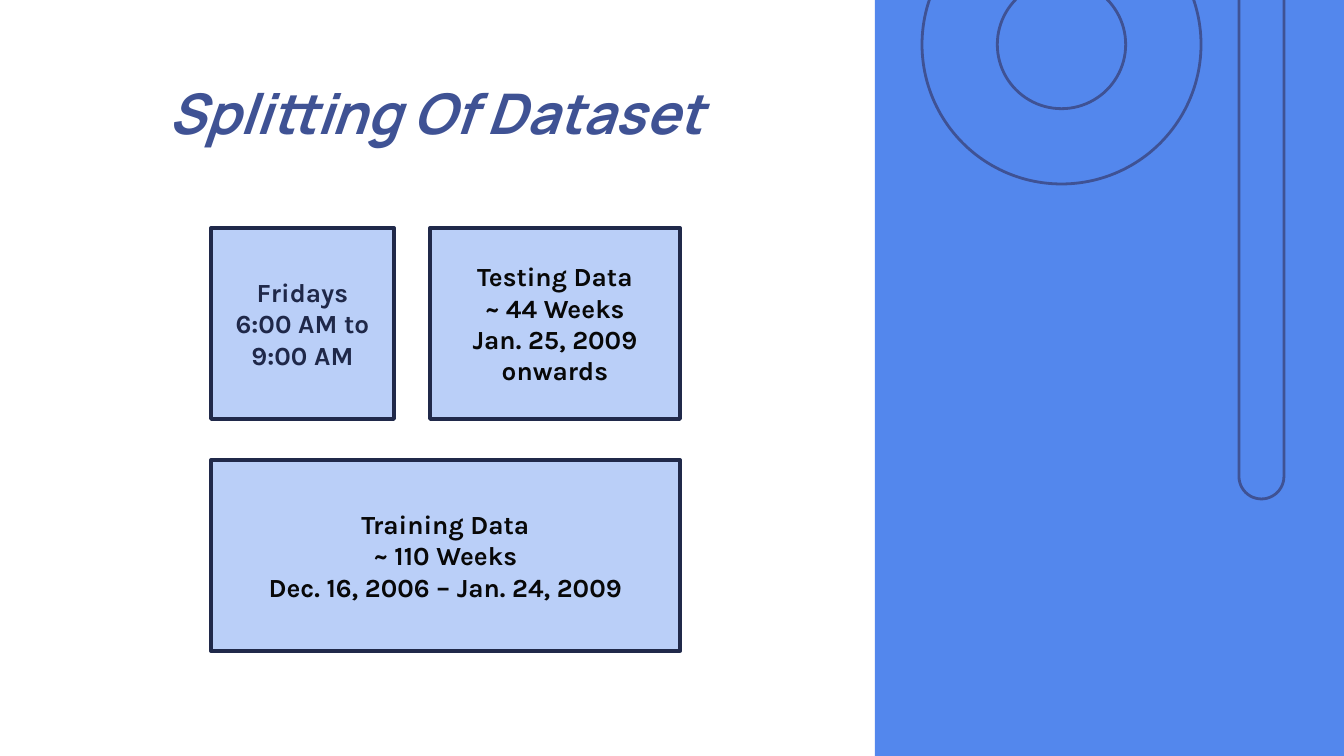
import dataclasses

import pptx
import pptx.dml.color
import pptx.enum.shapes
import pptx.enum.text
import pptx.util

PX = 914400 / 134.4
KIND = pptx.enum.shapes.MSO_SHAPE
ANCHOR = pptx.enum.text.MSO_ANCHOR
CENTER = pptx.enum.text.PP_ALIGN.CENTER


@dataclasses.dataclass(frozen=True)
class Theme:
    panel: str = "5387ED"
    accent: str = "3F5294"
    card: str = "BACFF8"
    edge: str = "20294A"
    navy: str = "1F2849"
    ink: str = "080808"
    head: str = "Manrope"
    body: str = "Karla"
    large: int = 30
    small: int = 14
    thin: float = 1.5
    thick: float = 2


THEME = Theme()


def emu(*sizes):
    return [round(size * PX) for size in sizes]


def color(code):
    return pptx.dml.color.RGBColor.from_string(code)


def shape(slide, kind, box, fill=None, line=None, width=0):
    item = slide.shapes.add_shape(kind, *emu(*box))
    item.shadow.inherit = False
    if fill:
        item.fill.solid()
        item.fill.fore_color.rgb = color(fill)
    else:
        item.fill.background()
    if line:
        item.line.color.rgb = color(line)
        item.line.width = pptx.util.Pt(width)
    else:
        item.line.fill.background()
    return item


def write(frame, text, face, size, ink, anchor, inset=13, italic=None):
    frame.word_wrap = True
    frame.vertical_anchor = anchor
    pad = emu(inset)[0]
    frame.margin_left = frame.margin_right = pad
    frame.margin_top = frame.margin_bottom = pad
    frame.text = text
    for para in frame.paragraphs:
        para.alignment = CENTER
        for run in para.runs:
            font = run.font
            font.name, font.size = face, pptx.util.Pt(size)
            font.bold, font.italic = True, italic
            font.color.rgb = color(ink)


def panel(slide, box):
    """Blue side panel with a hanging pill and a ring."""
    left, top, _, _ = box
    shape(slide, KIND.RECTANGLE, box, THEME.panel)
    pill = shape(slide, KIND.ROUNDED_RECTANGLE,
                 (left + 364, top - 117, 45, 616),
                 line=THEME.accent, width=THEME.thin)
    pill.adjustments[0] = 0.5
    ring = shape(slide, KIND.DONUT, (left + 47, top - 95, 279, 279),
                 line=THEME.accent, width=THEME.thin)
    ring.adjustments[0] = 0.27


def title(slide, box, text):
    frame = slide.shapes.add_textbox(*emu(*box)).text_frame
    write(frame, text, THEME.head, THEME.large, THEME.accent,
          ANCHOR.TOP, italic=True)


def cards(slide, box):
    """Two cards above a wide one, filling the box."""
    left, top, width, height = box
    tall, slim, gap = 191, 183, 36
    wide = width - slim - gap
    low = top + height - tall
    items = [
        ((left, top, slim, tall), THEME.navy,
         "Fridays\n6:00 AM to 9:00 AM"),
        ((left + slim + gap, top, wide, tall), THEME.ink,
         "Testing Data\n~ 44 Weeks\nJan. 25, 2009 onwards"),
        ((left, low, width, tall), THEME.ink,
         "Training Data\n~ 110 Weeks\nDec. 16, 2006 – Jan. 24, 2009"),
    ]
    for place, ink, text in items:
        card = shape(slide, KIND.RECTANGLE, place, THEME.card,
                     THEME.edge, THEME.thick)
        write(card.text_frame, text, THEME.body, THEME.small, ink,
              ANCHOR.MIDDLE)


def main():
    deck = pptx.Presentation()
    deck.slide_width, deck.slide_height = emu(1344, 756)
    slide = deck.slides.add_slide(deck.slide_layouts[6])
    panel(slide, (875, 0, 469, 756))
    title(slide, (0, 66, 872, 85), "Splitting Of Dataset")
    cards(slide, (211, 228, 469, 423))
    deck.save("out.pptx")


if __name__ == "__main__":
    main()
